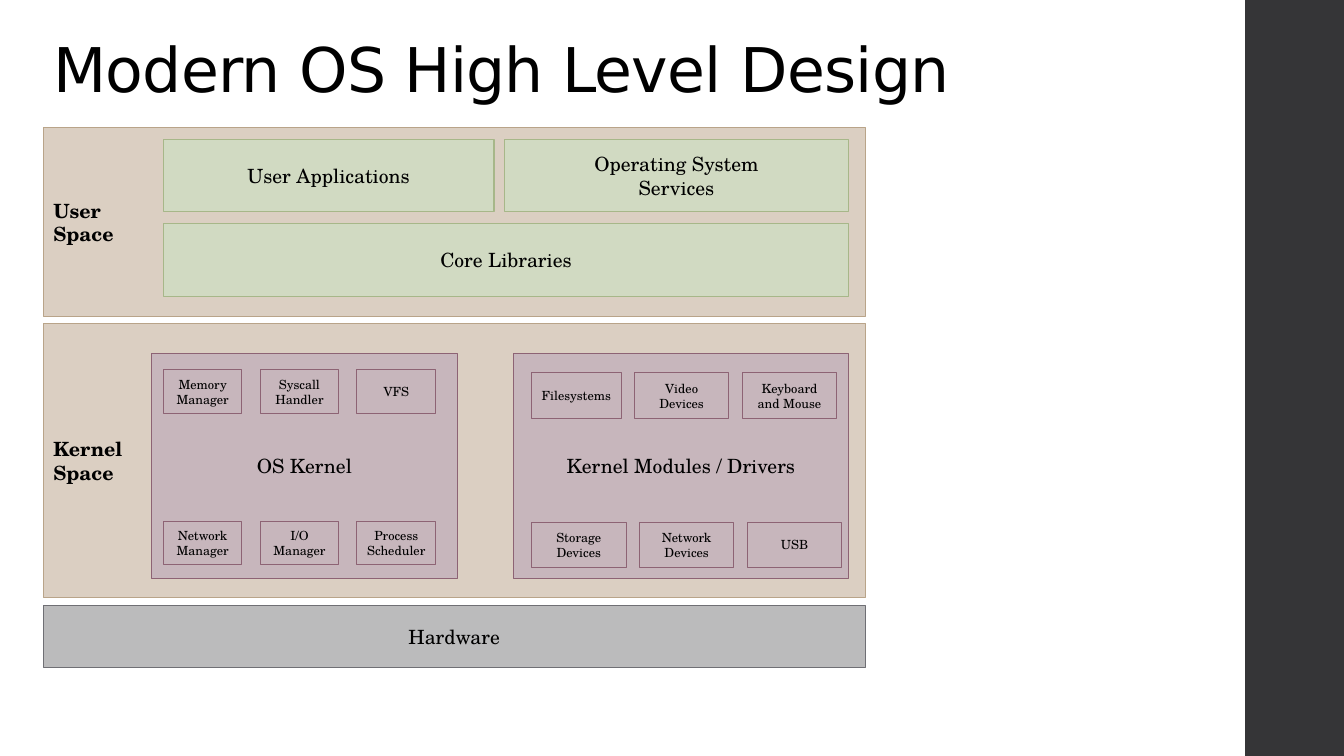
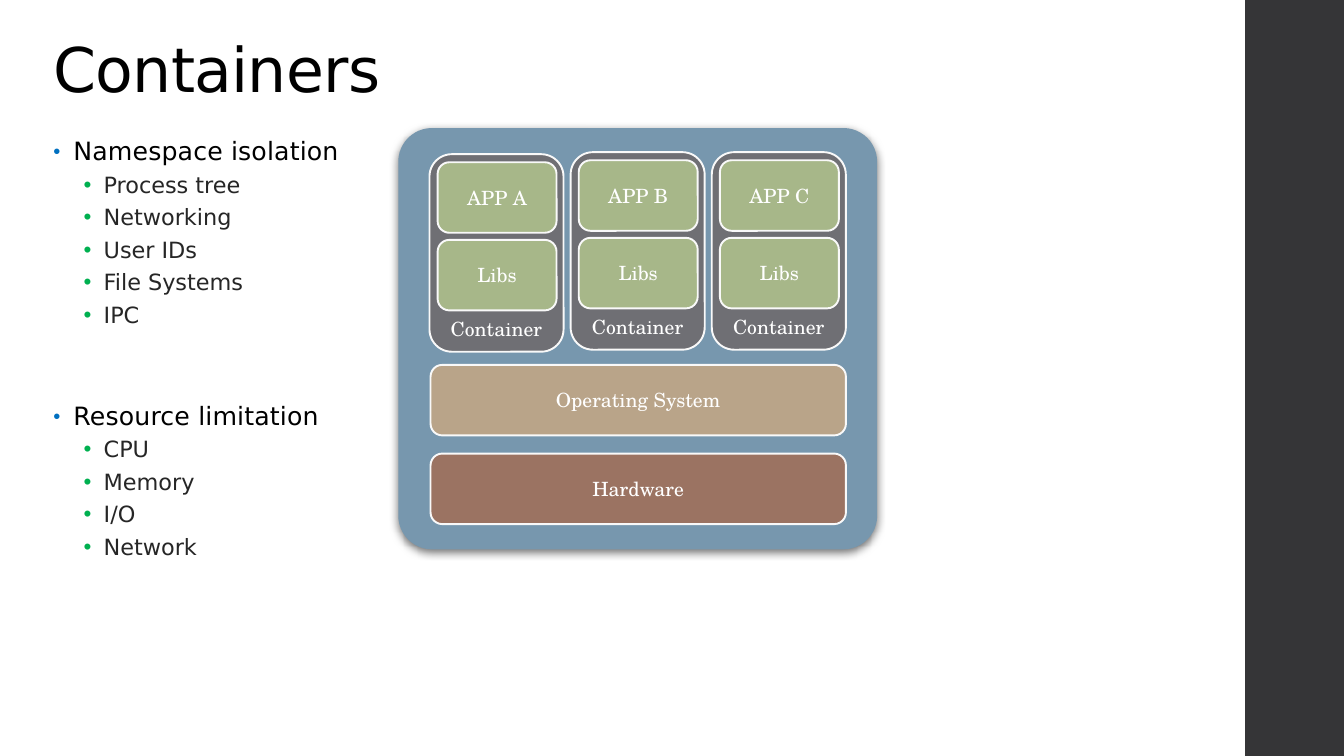
import pptx
import pptx.util
import pptx.dml.color
import pptx.enum.shapes
import pptx.enum.text
import pptx.oxml
import pptx.oxml.ns

SANS, SERIF = "DejaVu Sans", "TeX Gyre Schola"
BLACK, WHITE, BAND = "000000", "FFFFFF", "353537"
SAND, GREEN, MAUVE, GREY = (("DBCFC2", "B9A489"), ("D1DAC2", "A7B789"),
                            ("C7B6BC", "8D6374"), ("BBBBBC", "6F6F74"))
SLATE, MOSS, TAN, RUST, STEEL = "7797AE", "A7B789", "B9A489", "9B7362", "6F6F74"
PALE = "F9F9F9"
W, H = 13.33, 7.5
LEFT, TOP = 0.43, 1.27

LAYERS = [
    ("User\nSpace", TOP, 1.87, SAND),
    ("Kernel\nSpace", 3.21, 2.72, SAND),
    ("Hardware", 6.01, 0.61, GREY),
]
USER_ROWS = [
    (1.38, [("User Applications", 3.28), ("Operating System\nServices", 3.42)]),
    (2.22, [("Core Libraries", 6.8)]),
]
KERNEL_BLOCKS = [
    ("OS Kernel", 1.5, 3.04, 1.62, 0.43, 0.18, [
        (3.67, [("Memory Manager", 0.78), ("Syscall\nHandler", 0.78), ("VFS", 0.78)]),
        (5.17, [("Network Manager", 0.78), ("I/O Manager", 0.78), ("Process\nScheduler", 0.78)]),
    ]),
    ("Kernel Modules / Drivers", 5.09, 3.33, 5.27, 0.45, 0.13, [
        (3.7, [("Filesystems", 0.89), ("Video Devices", 0.94), ("Keyboard and Mouse", 0.94)]),
        (5.18, [("Storage\nDevices", 0.94), ("Network Devices", 0.94), ("USB", 0.94)]),
    ]),
]
TOPICS = [
    ("Namespace isolation", 14, ["Process tree", "Networking", "User IDs", "File Systems", "IPC"]),
    ("Resource limitation", 50, ["CPU", "Memory", "I/O", "Network"]),
]
PODS = [("APP A", 1.53), ("APP B", 1.51), ("APP C", 1.51)]
BASES = [("Operating System", 3.62, TAN), ("Hardware", 4.5, RUST)]

ALIGN = pptx.enum.text.PP_ALIGN
ANCHOR = pptx.enum.text.MSO_ANCHOR
SHAPE = pptx.enum.shapes.MSO_SHAPE
Pt = pptx.util.Pt


def rgb(value):
    return pptx.dml.color.RGBColor.from_string(value)


def inches(*lengths):
    return [pptx.util.Inches(n) for n in lengths]


def xml(parent, body):
    tag, rest = body.split(" ", 1)
    parent.append(pptx.oxml.parse_xml(f"<a:{tag} {pptx.oxml.ns.nsdecls('a')} {rest}"))


def add_run(p, text, size, font, color, bold=False, spacing=0):
    r = p.add_run()
    r.text = text
    r.font.size, r.font.name, r.font.bold = Pt(size), font, bold
    r.font.color.rgb = rgb(color)
    if spacing:
        r.font._element.set("spc", str(round(spacing * 100)))


def box(s, at, text="", fill=WHITE, line=None, size=14, color=BLACK, kind=SHAPE.RECTANGLE,
        width=0.75, align=ALIGN.CENTER, anchor=ANCHOR.MIDDLE, bold=False):
    sp = s.shapes.add_shape(kind, *inches(*at))
    sp.shadow.inherit = False
    sp.fill.solid()
    sp.fill.fore_color.rgb = rgb(fill)
    if line:
        sp.line.color.rgb = rgb(line)
        sp.line.width = Pt(width)
    else:
        sp.line.fill.background()
    tf = sp.text_frame
    tf.word_wrap, tf.vertical_anchor = True, anchor
    for i, part in enumerate(text.split("\n") if text else []):
        p = tf.add_paragraph() if i else tf.paragraphs[0]
        p.alignment = align
        add_run(p, part, size, SERIF, color, bold)
    return sp


def tile(s, at, text, fill, anchor=ANCHOR.MIDDLE):
    return box(s, at, text, fill, PALE, color=WHITE, kind=SHAPE.ROUNDED_RECTANGLE,
               width=1.35, anchor=anchor)


def box_row(s, x, y, height, gap, cells, colors, size):
    for text, width in cells:
        box(s, (x, y, width, height), text, *colors, size=size)
        x += width + gap


def text_box(s, at, anchor):
    tf = s.shapes.add_textbox(*inches(*at)).text_frame
    tf.word_wrap, tf.vertical_anchor = True, anchor
    return tf


def new_slide(prs, title):
    s = prs.slides.add_slide(prs.slide_layouts[6])
    box(s, (12.35, 0, W - 12.35, H), fill=BAND)
    p = text_box(s, (LEFT, 0.22, 11.55, 0.88), ANCHOR.BOTTOM).paragraphs[0]
    p.line_spacing = 0.9
    add_run(p, title, 44, SANS, BLACK, spacing=-0.5)
    return s


def bullet(p, text, level, before):
    indent, leading, after, mark, share, size, color, spacing = (
        (0.2, 0.95, 2, "0070C0", 80, 18, BLACK, 0.1),
        (0.5, 0.9, 3, "00B050", 100, 16, "262626", 0))[level]
    p.level, p.line_spacing = level, leading
    p.space_before, p.space_after = Pt(before), Pt(after)
    pPr = p._p.get_or_add_pPr()
    margin, hanging = inches(indent, -0.2)
    pPr.set("marL", str(margin))
    pPr.set("indent", str(hanging))
    xml(pPr, f'buClr ><a:srgbClr val="{mark}"/></a:buClr>')
    xml(pPr, f'buSzPct val="{share * 1000}"/>')
    xml(pPr, 'buFont typeface="Arial"/>')
    xml(pPr, 'buChar char="•"/>')
    add_run(p, text, size, SANS, color, spacing=spacing)


def design_slide(prs):
    s = new_slide(prs, "Modern OS High Level Design")
    for text, y, height, colors in LAYERS:
        side = colors == SAND
        box(s, (LEFT, y, 8.15, height), text, *colors, bold=side,
            align=ALIGN.LEFT if side else ALIGN.CENTER)
    for y, cells in USER_ROWS:
        box_row(s, 1.62, y, 0.72, 0.1, cells, GREEN, 14)
    for text, x, width, first, height, gap, rows in KERNEL_BLOCKS:
        box(s, (x, 3.51, width, 2.23), text, *MAUVE)
        for y, cells in rows:
            box_row(s, first, y, height, gap, cells, MAUVE, 9)


def containers_slide(prs):
    s = new_slide(prs, "Containers")
    tf = text_box(s, (LEFT, 1.32, 11.55, 5.83), ANCHOR.TOP)
    p = tf.paragraphs[0]
    for i, (topic, before, items) in enumerate(TOPICS):
        bullet(tf.add_paragraph() if i else p, topic, 0, before)
        for item in items:
            bullet(tf.add_paragraph(), item, 1, 3)
    panel = box(s, (3.95, TOP, 4.75, 4.18), fill=SLATE, kind=SHAPE.ROUNDED_RECTANGLE)
    panel.adjustments[0] = 0.08
    spPr = panel._element.spPr
    spPr.remove(spPr.find(pptx.oxml.ns.qn("a:effectLst")))
    xml(spPr, f'effectLst ><a:outerShdw blurRad="{Pt(6)}" dist="{Pt(2)}" dir="5400000" '
              f'rotWithShape="0"><a:srgbClr val="{BLACK}"><a:alpha val="55000"/>'
              '</a:srgbClr></a:outerShdw></a:effectLst>')
    for text, y, fill in BASES:
        tile(s, (4.27, y, 4.12, 0.7), text, fill)
    for i, (app, y) in enumerate(PODS):
        x = 4.26 + 1.4 * i
        tile(s, (x, y, 1.33, 1.96), "Container", STEEL, ANCHOR.BOTTOM)
        for row, text in enumerate((app, "Libs")):
            tile(s, (x + 0.08, y + 0.08 + 0.77 * row, 1.18, 0.7), text, MOSS)


def main():
    prs = pptx.Presentation()
    prs.slide_width, prs.slide_height = inches(W, H)
    design_slide(prs)
    containers_slide(prs)
    prs.save("out.pptx")


if __name__ == "__main__":
    main()
